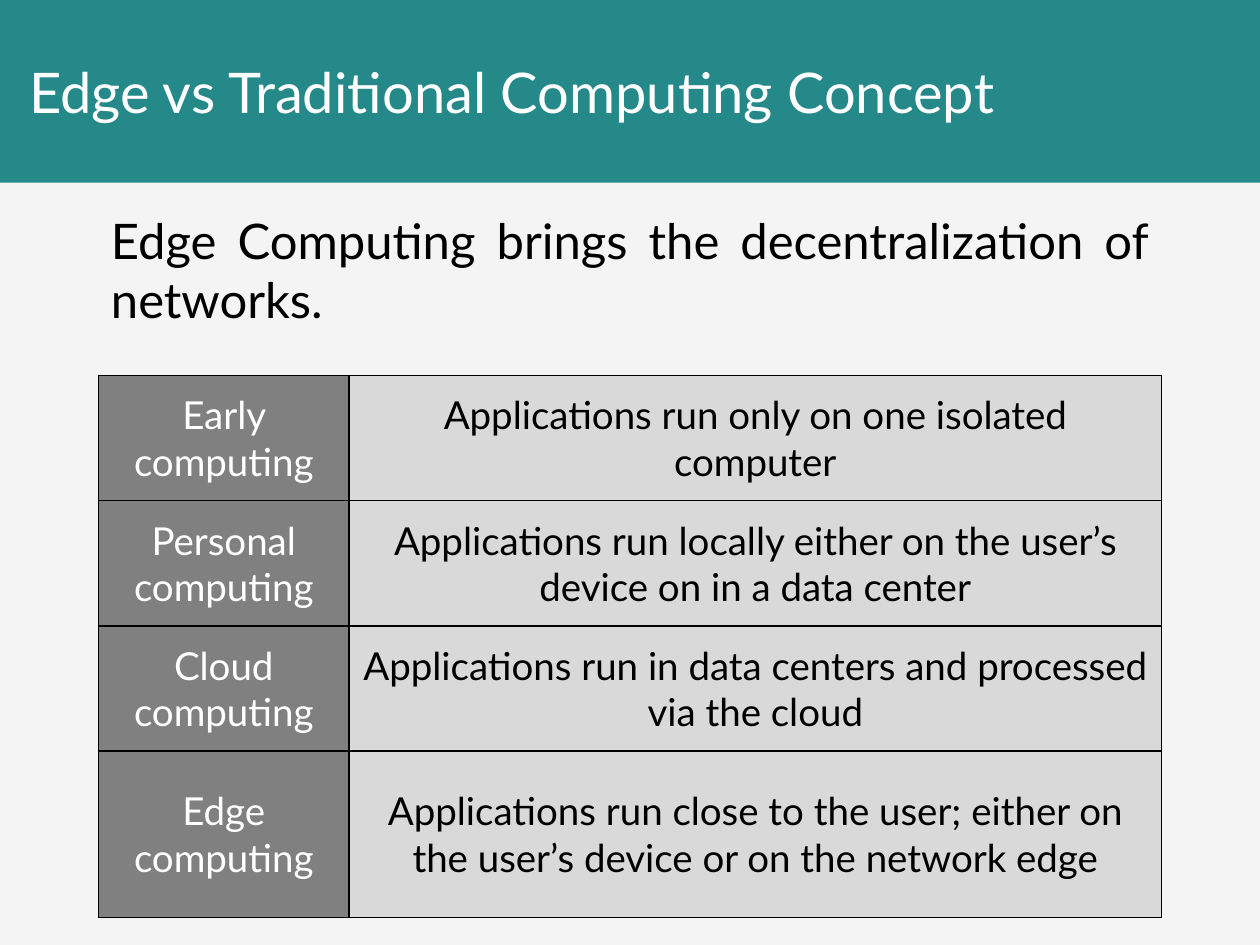
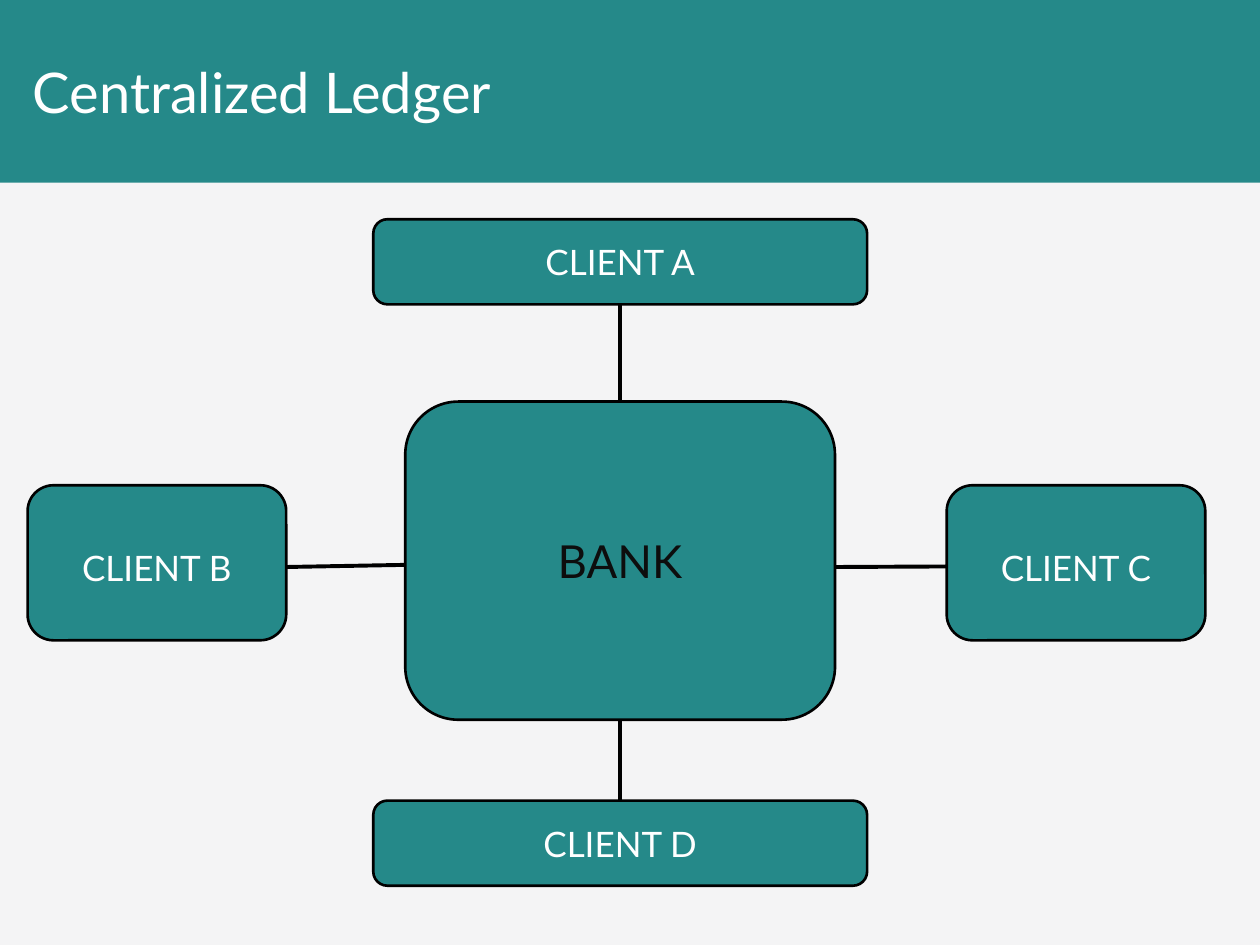
from dataclasses import dataclass

from lxml import etree
from pptx import Presentation
from pptx import util as u
from pptx.dml.color import RGBColor
from pptx.enum import shapes, text
from pptx.oxml import ns

Pt = u.Pt
ALIGN = text.PP_ALIGN
TOP, LEFT, BOTTOM, RIGHT = range(4)


@dataclass(frozen=True)
class Theme:
    font: str = "Lato"
    page: str = "F4F4F5"
    teal: str = "258989"
    white: str = "FFFFFF"
    black: str = "000000"
    hub_text: str = "0D0D0D"
    header_fill: str = "808080"
    cell_fill: str = "D9D9D9"
    title_size: float = 32
    body_size: float = 28
    table_size: float = 22
    hub_size: float = 26
    client_size: float = 20
    border: float = 1
    outline: float = 1.5
    link: float = 2.25


class SlideBuilder:
    """Holds the theme and the slide being built."""

    width, height, band_height = 720, 540, 104.4

    def __init__(self, theme):
        self.theme = theme
        self.deck = Presentation()
        self.deck.slide_width, self.deck.slide_height = Pt(self.width), Pt(self.height)
        self.paint(self.deck.slide_master.background.fill, theme.page)
        self.slide = None

    @staticmethod
    def paint(fill, color):
        fill.solid()
        fill.fore_color.rgb = RGBColor.from_string(color)

    @staticmethod
    def place(item, left, top, width, height):
        item.left, item.top = Pt(left), Pt(top)
        item.width, item.height = Pt(width), Pt(height)

    def add_words(self, frame, words, size, color, align):
        frame.word_wrap = True
        para = frame.paragraphs[0]
        para.alignment = align
        para.space_before = Pt(0)
        span = para.add_run()
        span.text = words
        span.font.name = self.theme.font
        span.font.size = Pt(size)
        span.font.color.rgb = RGBColor.from_string(color)
        return para

    def page(self, layout, title, left, width, align):
        self.slide = self.deck.slides.add_slide(self.deck.slide_layouts[layout])
        # Band goes behind the placeholders
        band = self.slide.shapes.add_shape(
            shapes.MSO_SHAPE.RECTANGLE, 0, 0, Pt(self.width), Pt(self.band_height))
        band.shadow.inherit = False
        self.paint(band.fill, self.theme.teal)
        band.line.fill.background()
        self.slide.shapes._spTree.insert(2, band._element)
        # Title
        heading = self.slide.shapes.title
        self.place(heading, left, 0, width, self.band_height)
        frame = heading.text_frame
        frame.auto_size = text.MSO_AUTO_SIZE.NONE
        frame.vertical_anchor = text.MSO_ANCHOR.MIDDLE
        self.add_words(frame, title, self.theme.title_size, self.theme.white, align)

    def body(self, words, *bounds):
        holder = self.slide.placeholders[1]
        self.place(holder, *bounds)
        holder.text_frame.auto_size = text.MSO_AUTO_SIZE.NONE
        para = self.add_words(holder.text_frame, words, self.theme.body_size,
                              self.theme.black, ALIGN.JUSTIFY)
        properties = para._p.get_or_add_pPr()
        properties.set("marL", "0")
        properties.set("indent", "0")
        etree.SubElement(properties, ns.qn("a:buNone"))

    def border(self, cell):
        properties = cell._tc.get_or_add_tcPr()
        for index, side in enumerate(("lnL", "lnR", "lnT", "lnB")):
            edge = etree.Element(ns.qn(f"a:{side}"), w=str(Pt(self.theme.border)))
            fill = etree.SubElement(edge, ns.qn("a:solidFill"))
            etree.SubElement(fill, ns.qn("a:srgbClr"), val=self.theme.black)
            properties.insert(index, edge)

    def table(self, rows, left, top, widths, heights):
        table = self.slide.shapes.add_table(
            len(rows), len(widths), Pt(left), Pt(top),
            Pt(sum(widths)), Pt(sum(heights))).table
        table.first_row = table.horz_banding = False
        for column, width in zip(table.columns, widths):
            column.width = Pt(width)
        looks = ((self.theme.header_fill, self.theme.white),
                 (self.theme.cell_fill, self.theme.black))
        for line, height, entries in zip(table.rows, heights, rows):
            line.height = Pt(height)
            for cell, words, (fill, color) in zip(line.cells, entries, looks):
                self.paint(cell.fill, fill)
                self.border(cell)
                cell.margin_left = cell.margin_right = Pt(7.2)
                cell.margin_top = cell.margin_bottom = Pt(9.36)
                cell.vertical_anchor = text.MSO_ANCHOR.MIDDLE
                self.add_words(cell.text_frame, words, self.theme.table_size,
                               color, ALIGN.CENTER)

    def node(self, words, size, color, bounds, drop=0):
        """Rounded box; drop adds to the top inset."""
        box = self.slide.shapes.add_shape(
            shapes.MSO_SHAPE.ROUNDED_RECTANGLE, *map(Pt, bounds))
        box.shadow.inherit = False
        self.paint(box.fill, self.theme.teal)
        self.paint(box.line.fill, self.theme.black)
        box.line.width = Pt(self.theme.outline)
        frame = box.text_frame
        frame.margin_top = Pt(3.6 + drop)
        frame.vertical_anchor = text.MSO_ANCHOR.MIDDLE
        self.add_words(frame, words, size, color, ALIGN.CENTER)
        return box

    def link(self, *ends):
        line = self.slide.shapes.add_connector(
            shapes.MSO_CONNECTOR.STRAIGHT, *map(Pt, ends))
        self.paint(line.line.fill, self.theme.black)
        line.line.width = Pt(self.theme.link)
        etree.SubElement(line._element.spPr, ns.qn("a:effectLst"))
        return line

    def join(self, start, start_side, end, end_side):
        line = self.link(0, 0, 0, 0)
        line.begin_connect(start, start_side)
        line.end_connect(end, end_side)


def concept_slide(builder):
    builder.page(1, "Edge vs Traditional Computing Concept", 9.4, 698.4, ALIGN.JUSTIFY)
    builder.body("Edge Computing brings the decentralization of networks.",
                 56.2, 116.6, 607, 54)
    eras = (
        ("Early computing", "Applications run only on one isolated computer"),
        ("Personal computing",
         "Applications run locally either on the user’s device on in a data center"),
        ("Cloud computing",
         "Applications run in data centers and processed via the cloud"),
        ("Edge computing",
         "Applications run close to the user; either on the user’s device "
         "or on the network edge"),
    )
    builder.table(eras, 56.2, 214.6, (143.3, 464.2), (71.5, 71.5, 71.5, 95))


def ledger_slide(builder):
    theme = builder.theme
    builder.page(5, "Centralized Ledger", 11.5, 693.4, ALIGN.LEFT)

    # Bank in the middle
    center = 354.4
    bank_width, bank_top, bank_height = 245.6, 229.5, 181.8
    bank_left = center - bank_width / 2
    bank = builder.node("BANK", theme.hub_size, theme.hub_text,
                        (bank_left, bank_top, bank_width, bank_height))

    # Clients around it
    wide, low = 282.2, 48.6
    narrow, tall = 147.8, 88.6
    left_b, left_c, side_top = 15.8, 541, 277.3
    clients = {}
    for name, bounds, drop in (
            ("C", (left_c, side_top, narrow, tall), 5),
            ("B", (left_b, side_top, narrow, tall), 5),
            ("D", (center - wide / 2, 457.5, wide, low), 0),
            ("A", (center - wide / 2, 125.3, wide, low), 0)):
        clients[name] = builder.node(f"CLIENT {name}", theme.client_size,
                                     theme.white, bounds, drop)

    # Links to the bank; the side links run just below the middle
    builder.join(clients["A"], BOTTOM, bank, TOP)
    builder.join(bank, BOTTOM, clients["D"], TOP)
    level = 324
    builder.link(left_b + narrow, level, bank_left, level - 1.2)
    builder.link(bank_left + bank_width, level, left_c, level - 0.3)


def main():
    builder = SlideBuilder(Theme())
    concept_slide(builder)
    ledger_slide(builder)
    builder.deck.save("out.pptx")


if __name__ == "__main__":
    main()
